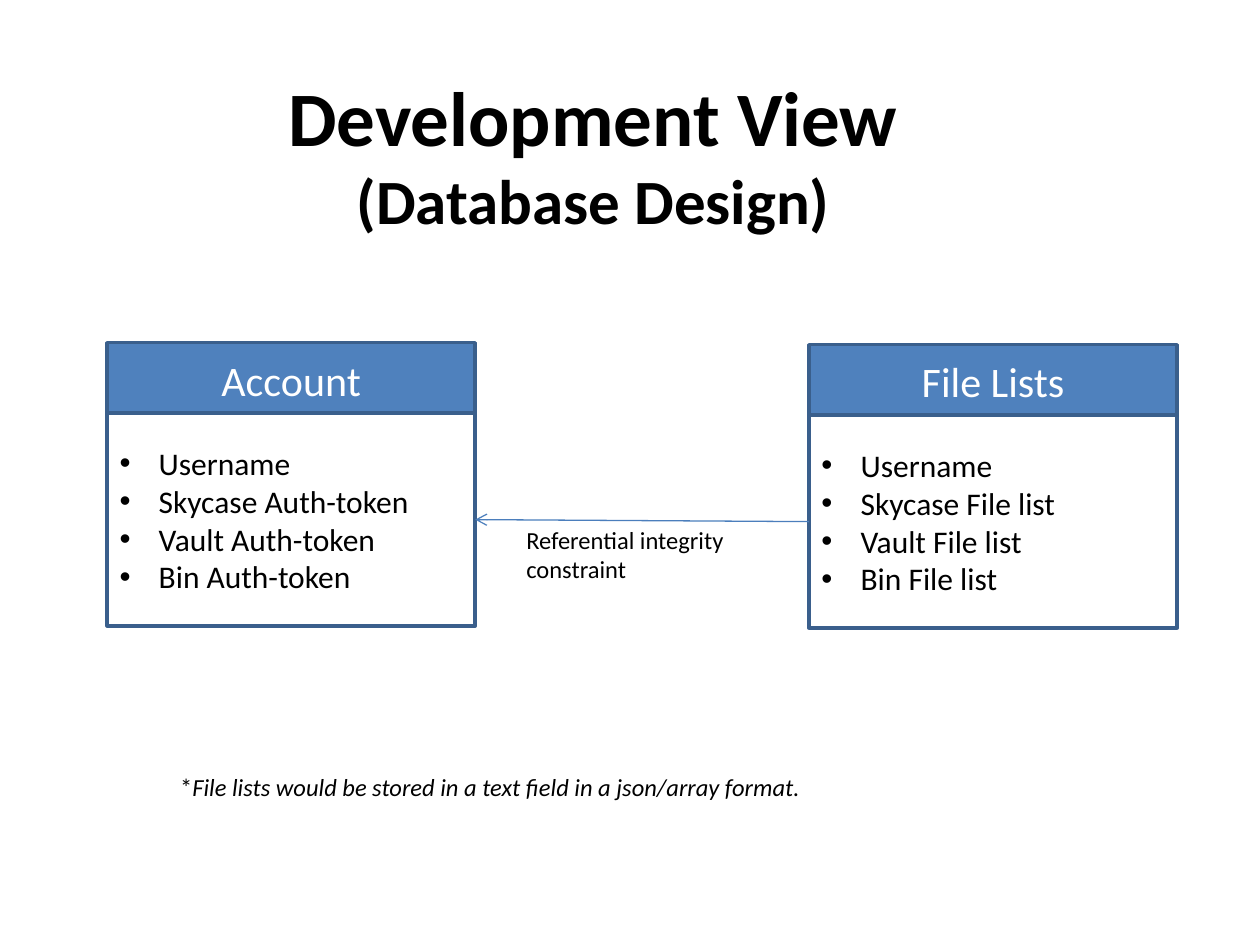
from lxml import etree
from pptx import Presentation
from pptx.dml.color import RGBColor
from pptx.enum import shapes, text
from pptx.oxml import ns
from pptx.util import Cm, Pt

COLORS = {"paper": "FFFFFF", "ink": "000000", "header": "4F81BD",
          "border": "3A5F8C", "arrow": "4B7EBC"}
FONT = "Calibri"
TABLE_WIDTH, HEADER_HEIGHT, BODY_OFFSET, BODY_HEIGHT = 7.42, 1.47, 1.42, 4.29
BULLET_INDENT = Cm(0.79)
TABLES = [
    ("Account", 2.16, 6.91,
     ["Username", "Skycase Auth-token", "Vault Auth-token", "Bin Auth-token"]),
    ("File Lists", 16.31, 6.95,
     ["Username", "Skycase File list", "Vault File list", "Bin File list"]),
]


def color(name):
    return RGBColor.from_string(COLORS[name])


def add_span(para, words, ink="ink", **format_values):
    span = para.add_run()
    span.text = words
    span.font.color.rgb = color(ink)
    for name, value in {"name": FONT, **format_values}.items():
        setattr(span.font, name, value)


def add_bullet(para):
    properties = para._p.get_or_add_pPr()
    properties.set("marL", str(BULLET_INDENT))
    properties.set("indent", str(-BULLET_INDENT))
    font = etree.SubElement(properties, ns.qn("a:buFont"))
    font.set("typeface", "Arial")
    etree.SubElement(properties, ns.qn("a:buChar")).set("char", "•")


def add_label(page, place, paragraphs, align=text.PP_ALIGN.LEFT, wrap=True):
    """Each paragraph is a list of (words, format values)."""
    box = page.shapes.add_textbox(*map(Cm, place))
    frame = box.text_frame
    frame.word_wrap = wrap
    frame.auto_size = text.MSO_AUTO_SIZE.SHAPE_TO_FIT_TEXT
    for number, spans in enumerate(paragraphs):
        para = frame.add_paragraph() if number else frame.paragraphs[0]
        para.alignment = align
        for words, format_values in spans:
            add_span(para, words, **format_values)


def add_panel(page, place, fill, lines, size, ink, bulleted=False):
    panel = page.shapes.add_shape(shapes.MSO_SHAPE.RECTANGLE, *map(Cm, place))
    panel.shadow.inherit = False
    panel.fill.solid()
    panel.fill.fore_color.rgb = color(fill)
    panel.line.color.rgb = color("border")
    panel.line.width = Pt(2)
    frame = panel.text_frame
    frame.word_wrap = True
    frame.vertical_anchor = text.MSO_ANCHOR.MIDDLE
    for number, words in enumerate(lines):
        para = frame.add_paragraph() if number else frame.paragraphs[0]
        para.alignment = text.PP_ALIGN.LEFT if bulleted else text.PP_ALIGN.CENTER
        if bulleted:
            add_bullet(para)
        add_span(para, words, ink, size=Pt(size))
    return panel


def add_entity(page, name, left, top, fields):
    add_panel(page, (left, top, TABLE_WIDTH, HEADER_HEIGHT),
              "header", [name], 24, "paper")
    return add_panel(page, (left, top + BODY_OFFSET, TABLE_WIDTH, BODY_HEIGHT),
                     "paper", fields, 18, "ink", bulleted=True)


def add_reference(page, source, target):
    arrow = page.shapes.add_connector(shapes.MSO_CONNECTOR.STRAIGHT, 0, 0, 0, 0)
    arrow.begin_connect(source, 1)
    arrow.end_connect(target, 3)
    arrow.line.color.rgb = color("arrow")
    arrow.line.width = Pt(0.75)
    etree.SubElement(arrow.line._get_or_add_ln(),
                     ns.qn("a:tailEnd")).set("type", "arrow")
    etree.SubElement(arrow._element.spPr, ns.qn("a:effectLst"))


def main():
    deck = Presentation()
    deck.slide_width, deck.slide_height = Cm(25.4), Cm(19.05)
    page = deck.slides.add_slide(deck.slide_layouts[6])

    # Title
    add_label(page, (5.51, 1.27, 12.9, 3.68),
              [[("Development View", {"size": Pt(44), "bold": True})],
               [("(Database Design)", {"size": Pt(36), "bold": True})]],
              text.PP_ALIGN.CENTER, wrap=False)

    # Database tables
    account, file_lists = [add_entity(page, *table) for table in TABLES]

    # Footnote and constraint
    small = {"size": Pt(14)}
    add_label(page, (3.38, 15.44, 17.35, 0.86),
              [[("*", small),
                ("File lists would be stored in a text field in a json/array format.",
                 {**small, "italic": True})]])
    add_label(page, (10.36, 10.46, 4.88, 1.45),
              [[("Referential integrity constraint", small)]])
    add_reference(page, file_lists, account)

    deck.save("out.pptx")


main()
